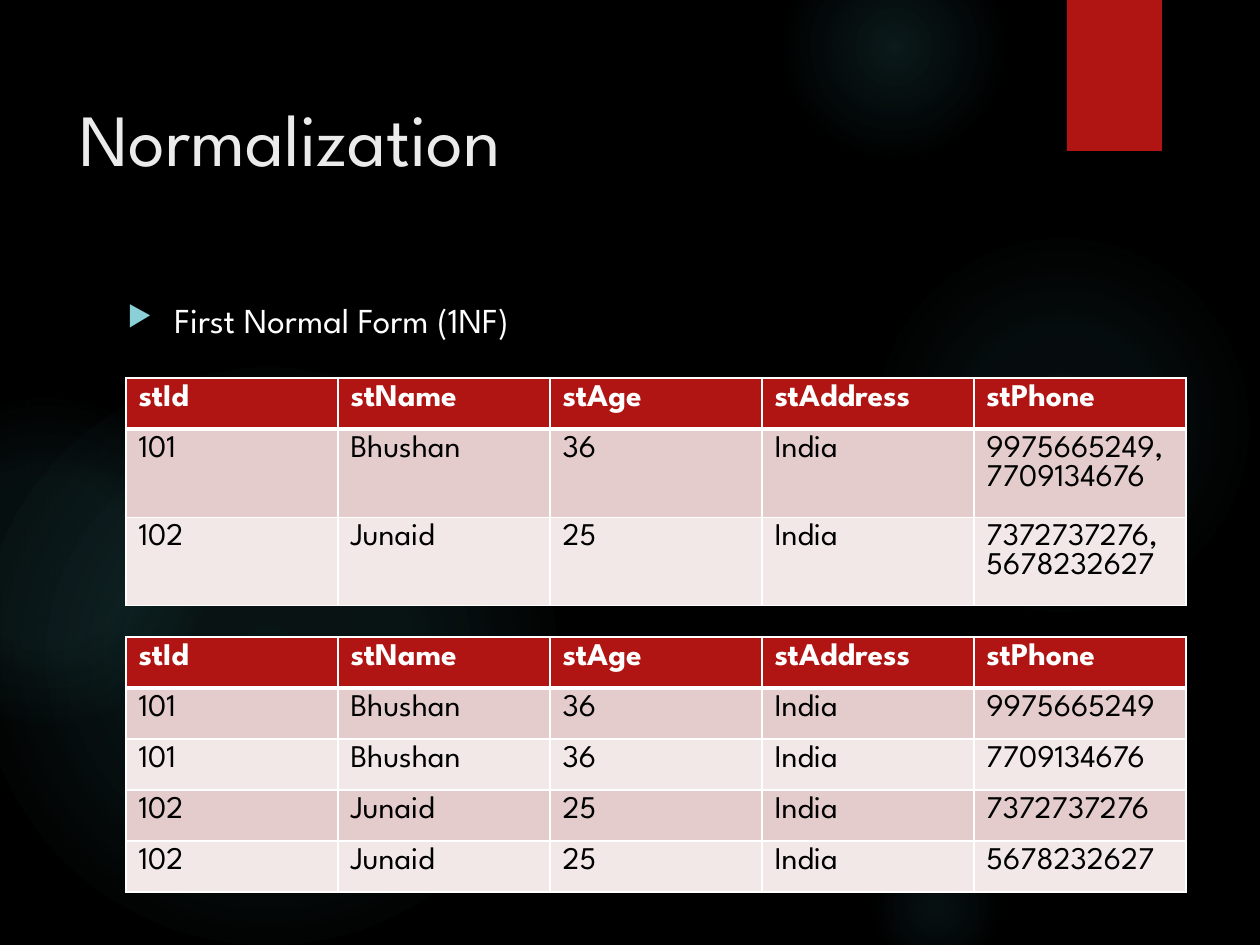
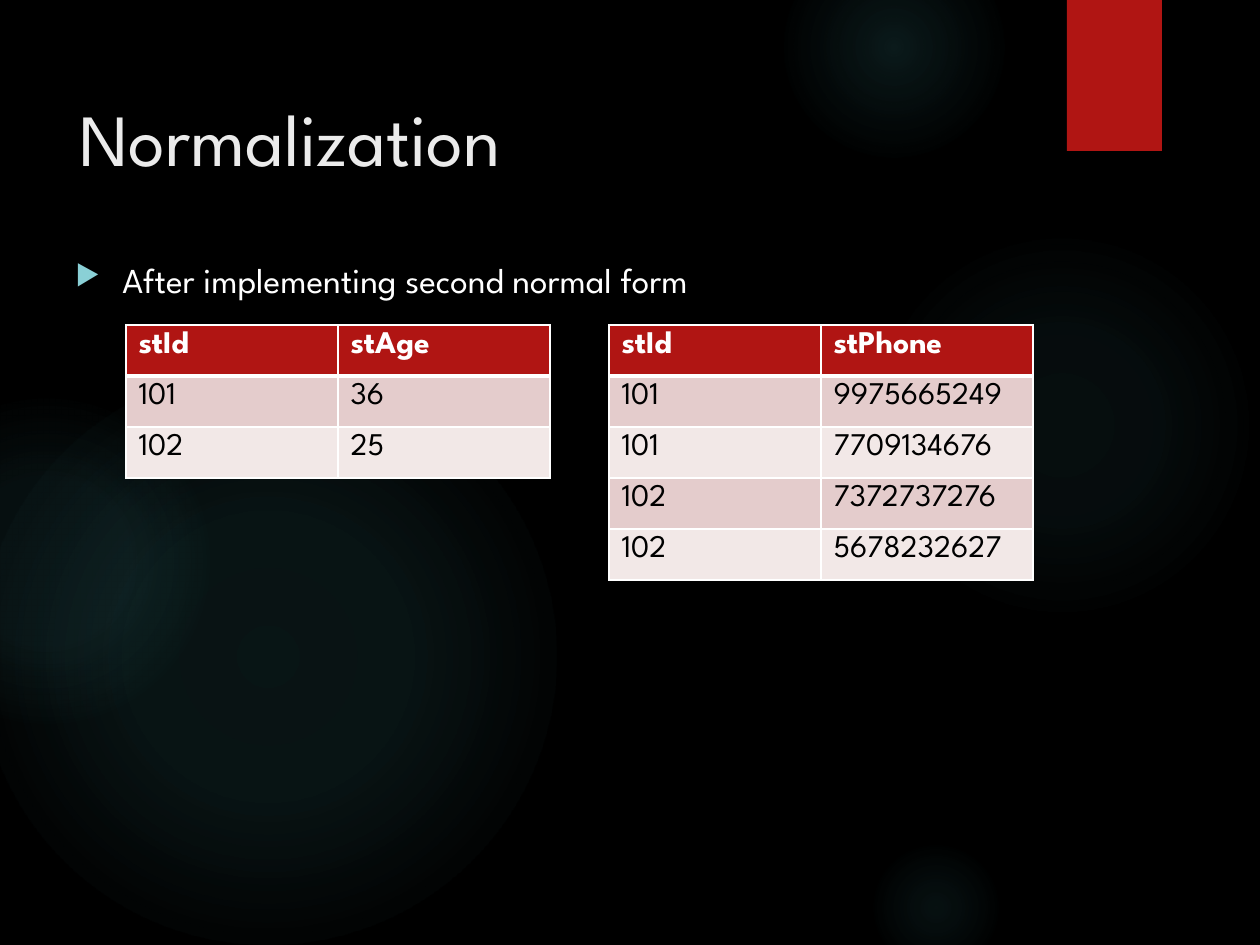
from lxml import etree
from pptx import Presentation
from pptx import util as u
from pptx.dml.color import RGBColor
from pptx.enum import shapes, text
from pptx.oxml import parse_xml
from pptx.oxml.ns import nsdecls, qn

EMU_PER_PX = 914400 / 126
FONT = "League Spartan"
BLACK = RGBColor(0x00, 0x00, 0x00)
WHITE = RGBColor(0xFF, 0xFF, 0xFF)
RED = RGBColor(0xB0, 0x15, 0x13)
GLOW = RGBColor(0x50, 0xB9, 0xC1)
TITLE_GREY = RGBColor(0xEB, 0xEB, 0xEB)
BULLET_BLUE = RGBColor(0x8A, 0xD0, 0xD6)
ROW_BANDS = (RGBColor(0xE4, 0xCC, 0xCC), RGBColor(0xF2, 0xE8, 0xE7))

COLUMN_WIDTH = 212
ROW_HEIGHT = 51
# left, top, diameter, then (position, opacity) stops in percent
GLOWS = [
    (868, 231, 388, [(0, 7), (36, 6), (69, 0)]),
    (784, -63, 220, [(0, 14), (36, 7), (73, 0)]),
    (868, 840, 136, [(0, 9), (36, 5), (66, 0)]),
    (-21, 368, 577, [(0, 11), (36, 10), (75, 0)]),
    (-116, 399, 325, [(0, 8), (36, 8), (72, 0)]),
]

STUDENTS = [("101", "Bhushan", "36", "India"), ("102", "Junaid", "25", "India")]
PHONES = {
    "101": ["9975665249", "7709134676"],
    "102": ["7372737276", "5678232627"],
}
STUDENT_HEADER = ("stId", "stName", "stAge", "stAddress", "stPhone")


def px(length):
    return u.Emu(round(length * EMU_PER_PX))


def box(*lengths):
    return [px(length) for length in lengths]


def style_font(paragraph, size, color, bold=False):
    font = paragraph.font
    font.name, font.size, font.bold = FONT, u.Pt(size), bold
    font.color.rgb = color


def add_plain_shape(slide, kind, left, top, width, height):
    shape = slide.shapes.add_shape(kind, *box(left, top, width, height))
    shape.shadow.inherit = False
    shape.line.fill.background()
    return shape


def add_glow(slide, left, top, diameter, stops):
    shape = add_plain_shape(slide, shapes.MSO_SHAPE.OVAL, left, top, diameter, diameter)
    stop_xml = "".join(
        f'<a:gs pos="{position * 1000}"><a:srgbClr val="{GLOW}">'
        f'<a:alpha val="{opacity * 1000}"/></a:srgbClr></a:gs>'
        for position, opacity in stops
    )
    gradient = parse_xml(
        f'<a:gradFill {nsdecls("a")} rotWithShape="1"><a:gsLst>{stop_xml}</a:gsLst>'
        '<a:path path="circle"><a:fillToRect l="50000" t="50000" r="50000" b="50000"/>'
        "</a:path></a:gradFill>"
    )
    shape.element.spPr.find(qn("a:ln")).addprevious(gradient)


def add_red_tab(slide):
    shape = add_plain_shape(slide, shapes.MSO_SHAPE.RECTANGLE, 1067, 0, 95, 151)
    shape.fill.solid()
    shape.fill.fore_color.rgb = RED
    shape.element.spPr.find(qn("a:effectLst")).append(parse_xml(
        f'<a:outerShdw {nsdecls("a")} blurRad="{u.Pt(3)}" dist="{u.Pt(2)}" dir="5400000">'
        f'<a:srgbClr val="{BLACK}"><a:alpha val="45000"/></a:srgbClr></a:outerShdw>'
    ))


def add_text(slide, content, bounds, size, color, margin_top):
    frame = slide.shapes.add_textbox(*box(*bounds)).text_frame
    frame.word_wrap = True
    frame.vertical_anchor = text.MSO_ANCHOR.TOP
    frame.margin_top = px(margin_top)
    paragraph = frame.paragraphs[0]
    paragraph.text = content
    style_font(paragraph, size, color)
    return paragraph


def add_bullet(slide, content, bounds):
    paragraph = add_text(slide, content, bounds, 20, WHITE, 16)
    properties = paragraph._p.get_or_add_pPr()
    properties.set("marL", str(px(47)))
    properties.set("indent", str(-px(47)))
    bullet = parse_xml(
        f'<a:pPr {nsdecls("a")}><a:buClr><a:srgbClr val="{BULLET_BLUE}"/></a:buClr>'
        '<a:buSzPct val="80000"/><a:buChar char="▶"/></a:pPr>'
    )
    for position, child in enumerate(list(bullet)):
        properties.insert(position, child)


def add_border(cell, side, points):
    line = etree.SubElement(cell._tc.get_or_add_tcPr(), qn(f"a:ln{side}"), w=str(u.Pt(points)))
    fill = etree.SubElement(line, qn("a:solidFill"))
    etree.SubElement(fill, qn("a:srgbClr"), val=str(WHITE))


def fill_cell(cell, content, row):
    is_header = row == 0
    heavy_side = {0: "B", 1: "T"}.get(row)
    for side in "LRTB":
        add_border(cell, side, 3 if side == heavy_side else 1)
    cell.fill.solid()
    cell.fill.fore_color.rgb = RED if is_header else ROW_BANDS[(row - 1) % 2]
    cell.text = content
    for paragraph in cell.text_frame.paragraphs:
        style_font(paragraph, 18, WHITE if is_header else BLACK, is_header)


def add_data_table(slide, left, top, rows):
    columns = len(rows[0])
    bounds = box(left, top, COLUMN_WIDTH * columns, ROW_HEIGHT * len(rows))
    table = slide.shapes.add_table(len(rows), columns, *bounds).table
    for column in table.columns:
        column.width = px(COLUMN_WIDTH)
    for row, values in enumerate(rows):
        table.rows[row].height = px(ROW_HEIGHT)
        for column, value in enumerate(values):
            fill_cell(table.cell(row, column), value, row)


def add_themed_slide(presentation, title):
    slide = presentation.slides.add_slide(presentation.slide_layouts[6])
    slide.background.fill.solid()
    slide.background.fill.fore_color.rgb = BLACK
    for glow in GLOWS:
        add_glow(slide, *glow)
    add_red_tab(slide)
    add_text(slide, title, (67, 63, 973, 193), 42, TITLE_GREY, 30)
    return slide


def add_first_normal_form(presentation):
    slide = add_themed_slide(presentation, "Normalization")
    add_bullet(slide, "First Normal Form (1NF)", (115, 283, 925, 578))
    grouped = [(*student, ",\n".join(PHONES[student[0]])) for student in STUDENTS]
    atomic = [(*student, phone) for student in STUDENTS for phone in PHONES[student[0]]]
    add_data_table(slide, 126, 378, [STUDENT_HEADER, *grouped])
    add_data_table(slide, 126, 637, [STUDENT_HEADER, *atomic])


def add_second_normal_form(presentation):
    slide = add_themed_slide(presentation, "Normalization")
    add_bullet(slide, "After implementing second normal form", (63, 242, 1134, 651))
    ages = [(student[0], student[2]) for student in STUDENTS]
    phones = [(student, phone) for student, numbers in PHONES.items() for phone in numbers]
    add_data_table(slide, 126, 325, [("stId", "stAge"), *ages])
    add_data_table(slide, 609, 325, [("stId", "stPhone"), *phones])


def main():
    presentation = Presentation()
    presentation.slide_width, presentation.slide_height = box(1260, 945)
    add_first_normal_form(presentation)
    add_second_normal_form(presentation)
    presentation.save("out.pptx")


if __name__ == "__main__":
    main()
